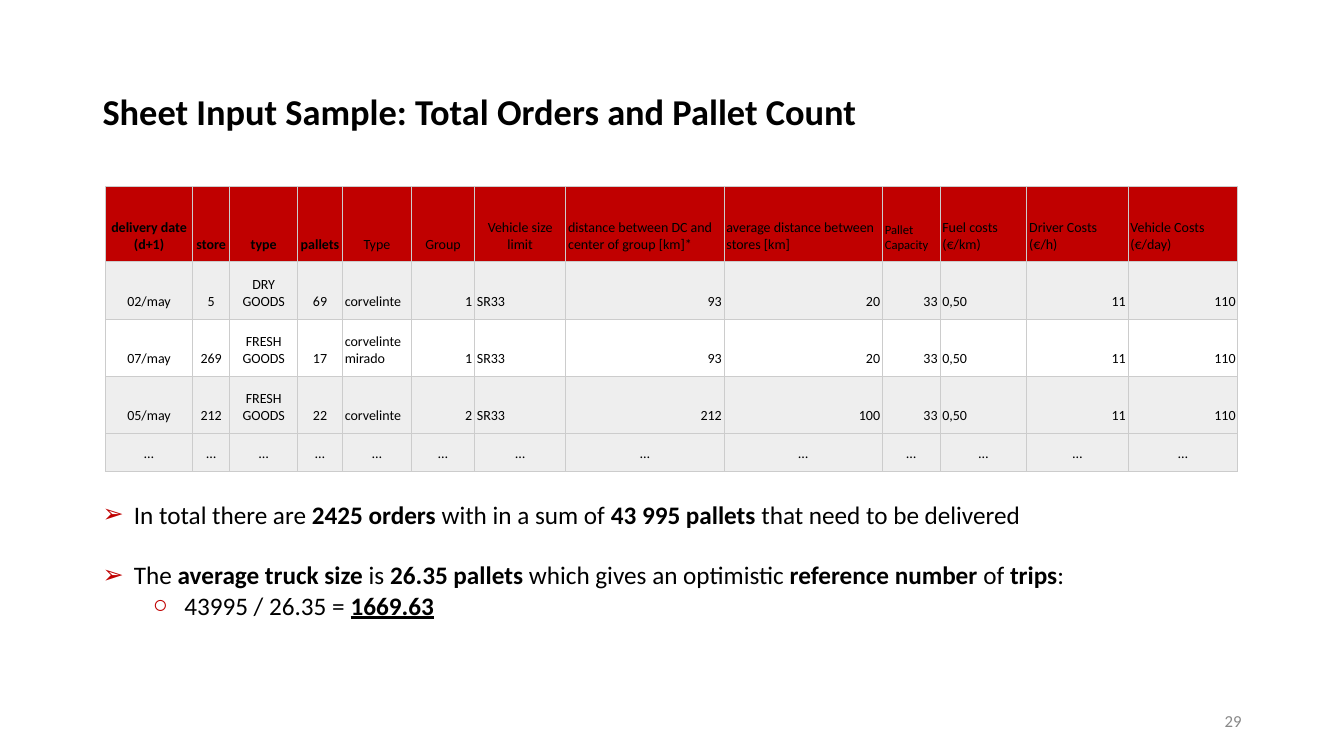
from lxml import etree
from pptx import Presentation
from pptx.dml.color import RGBColor
from pptx.enum.text import MSO_ANCHOR, MSO_AUTO_SIZE, PP_ALIGN
from pptx.oxml.ns import qn
from pptx.util import Cm, Pt

LEFT, CENTER, RIGHT = PP_ALIGN.LEFT, PP_ALIGN.CENTER, PP_ALIGN.RIGHT
MIDDLE, BOTTOM, TOP = MSO_ANCHOR.MIDDLE, MSO_ANCHOR.BOTTOM, MSO_ANCHOR.TOP
NO_AUTOFIT = MSO_AUTO_SIZE.NONE

COLORS = {
    "text": "000000",
    "accent": "C00000",
    "band": "EEEEEE",
    "plain": "FFFFFF",
    "border": "CCCCCC",
    "number": "888888",
}


def add_run(paragraph, text, size, color="text", **formats):
    run = paragraph.add_run()
    run.text = text
    values = {"name": "Calibri", "size": Pt(size), "bold": False, **formats}
    for name, value in values.items():
        setattr(run.font, name, value)
    run.font.color.rgb = RGBColor.from_string(COLORS[color])


def add_color(parent, tag, color):
    holder = etree.SubElement(parent, qn(tag))
    etree.SubElement(holder, qn("a:srgbClr"), val=COLORS[color])


presentation = Presentation()
presentation.slide_width, presentation.slide_height = Cm(33.87), Cm(19.05)
slide = presentation.slides.add_slide(presentation.slide_layouts[1])
title, body = slide.shapes.title, slide.placeholders[1]
page_number = slide.shapes.add_textbox(0, 0, 0, 0)

# Positions and text frames
frames = [
    (title, (2.33, 1.03, 29.21, 3.68), MIDDLE),
    (body, (2.33, 12.45, 29.21, 3.33), TOP),
    (page_number, (23.92, 17.66, 7.62, 1.01), MIDDLE),
]
for shape, box, anchor in frames:
    shape.left, shape.top, shape.width, shape.height = map(Cm, box)
    frame_formats = {
        "word_wrap": True, "auto_size": NO_AUTOFIT, "vertical_anchor": anchor,
    }
    for name, value in frame_formats.items():
        setattr(shape.text_frame, name, value)

# Title
paragraph = title.text_frame.paragraphs[0]
paragraph.alignment = LEFT
paragraph.line_spacing = 0.9
add_run(paragraph, "Sheet Input Sample: Total Orders and Pallet Count", 26, bold=True)

# Bullet list: level, space before, indent, bullet, (text, formats) runs
BOLD = {"bold": True}
bullets = [
    (0, 0, 0.79, "➢", [
        ("In total there are ", {}), ("2425 orders ", BOLD),
        ("with in a sum of ", {}), ("43 995 pallets ", BOLD),
        ("that need to be delivered", {}),
    ]),
    (0, 21.6, 0.79, "➢", [
        ("The ", {}), ("average truck size ", BOLD), ("is ", {}),
        ("26.35 pallets ", BOLD), ("which gives an optimistic ", {}),
        ("reference number ", BOLD), ("of ", {}), ("trips", BOLD), (":", {}),
    ]),
    (1, 0, 2.06, "○", [
        ("43995 / 26.35 = ", {}), ("1669.63", {"bold": True, "underline": True}),
    ]),
]
for index, (level, space, indent, bullet, runs) in enumerate(bullets):
    frame = body.text_frame
    paragraph = frame.add_paragraph() if index else frame.paragraphs[0]
    paragraph.level = level
    paragraph.space_before = Pt(space)
    properties = paragraph._p.get_or_add_pPr()
    properties.set("marL", str(Cm(indent)))
    properties.set("indent", str(-Cm(0.79)))
    add_color(properties, "a:buClr", "accent")
    etree.SubElement(properties, qn("a:buChar"), char=bullet)
    for text, formats in runs:
        add_run(paragraph, text, 18, **formats)

# Page number
paragraph = page_number.text_frame.paragraphs[0]
paragraph.alignment = RIGHT
add_run(paragraph, "29", 12, "number")

# Orders table: heading, width, heading alignment, value alignment
columns = [
    ("delivery date (d+1)", 2.19, CENTER, CENTER),
    ("store", 0.94, CENTER, CENTER),
    ("type", 1.71, CENTER, CENTER),
    ("pallets", 1.13, CENTER, CENTER),
    ("Type", 1.74, CENTER, LEFT),
    ("Group", 1.59, CENTER, RIGHT),
    ("Vehicle size limit", 2.3, CENTER, LEFT),
    ("distance between DC and center of group [km]*", 3.99, LEFT, RIGHT),
    ("average distance between stores [km]", 3.99, LEFT, RIGHT),
    ("Pallet Capacity", 1.45, LEFT, RIGHT),
    ("Fuel costs (€/km)", 2.19, LEFT, LEFT),
    ("Driver Costs (€/h)", 2.55, LEFT, RIGHT),
    ("Vehicle Costs (€/day)", 2.77, LEFT, RIGHT),
]
headings, widths, heading_alignments, value_alignments = zip(*columns)
shared_costs = ["33", "0,50", "11", "110"]
rows = [
    (1.9, "accent", heading_alignments, headings),
    (1.44, "band", value_alignments,
     ["02/may", "5", "DRY GOODS", "69", "corvelinte", "1", "SR33", "93", "20", *shared_costs]),
    (1.44, "plain", value_alignments,
     ["07/may", "269", "FRESH GOODS", "17", "corvelinte mirado", "1", "SR33", "93", "20",
      *shared_costs]),
    (1.44, "band", value_alignments,
     ["05/may", "212", "FRESH GOODS", "22", "corvelinte", "2", "SR33", "212", "100",
      *shared_costs]),
    (0.97, "band", [CENTER] * len(columns), ["…"] * len(columns)),
]
table = slide.shapes.add_table(
    len(rows), len(columns), Cm(2.66), Cm(4.7), Cm(sum(widths)), Cm(7.2)
).table
table.first_row = table.horz_banding = False
for column, width in zip(table.columns, widths):
    column.width = Cm(width)

cell_formats = {
    "vertical_anchor": BOTTOM,
    "margin_left": Cm(0.06), "margin_right": Cm(0.06),
    "margin_top": Cm(0.23), "margin_bottom": Cm(0.23),
}
for row_index, (height, fill, alignments, values) in enumerate(rows):
    table.rows[row_index].height = Cm(height)
    for column_index, (alignment, text) in enumerate(zip(alignments, values)):
        cell = table.cell(row_index, column_index)
        for name, value in cell_formats.items():
            setattr(cell, name, value)
        cell.fill.solid()
        cell.fill.fore_color.rgb = RGBColor.from_string(COLORS[fill])
        paragraph = cell.text_frame.paragraphs[0]
        paragraph.alignment = alignment
        size = 9 if text == "Pallet Capacity" else 10
        add_run(paragraph, text, size, bold=row_index == 0 and column_index < 4)
        # Borders come before the fill in the cell properties
        cell_properties = cell._tc.get_or_add_tcPr()
        for position, side in enumerate(["a:lnL", "a:lnR", "a:lnT", "a:lnB"]):
            line = etree.Element(qn(side), w=str(Pt(0.75)))
            add_color(line, "a:solidFill", "border")
            cell_properties.insert(position, line)

presentation.save("out.pptx")
